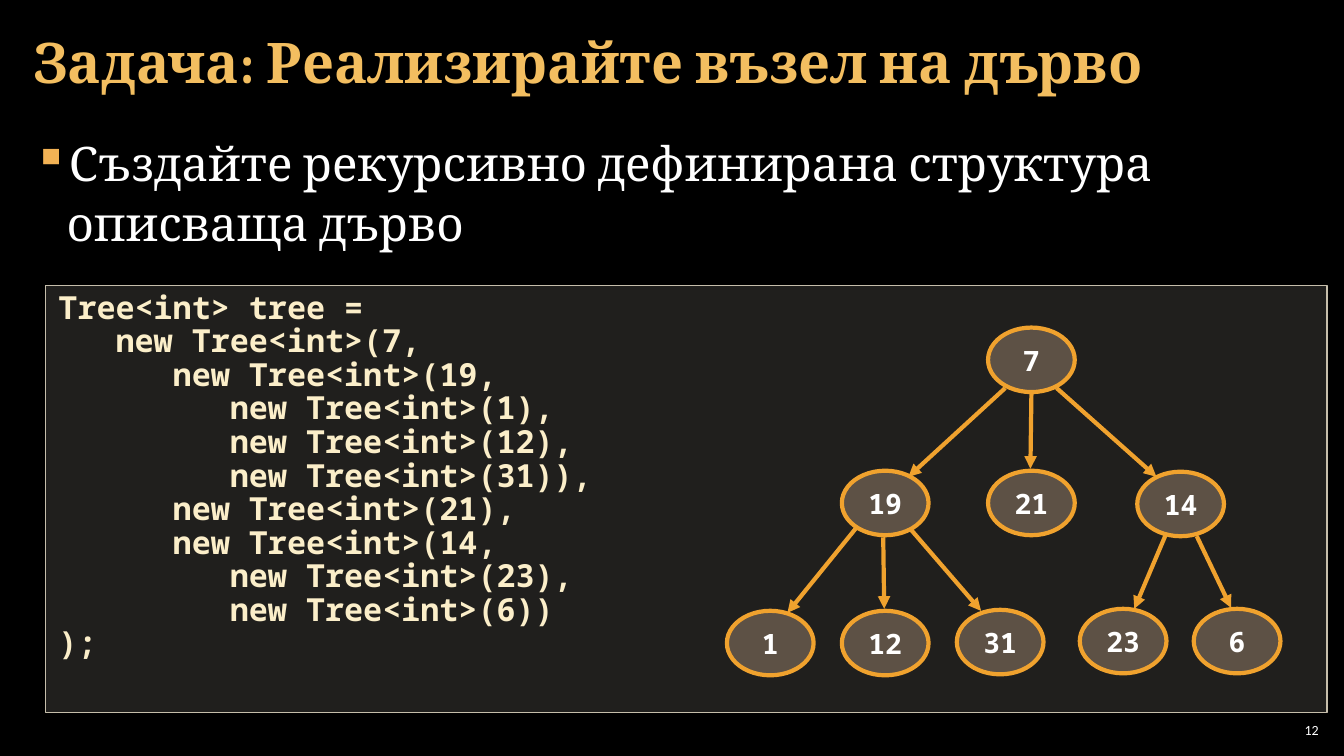
import pptx
import pptx.util
import pptx.dml.color
import pptx.enum.shapes
import pptx.enum.text
import pptx.oxml
import pptx.oxml.ns

Inches, Pt = pptx.util.Inches, pptx.util.Pt
ALIGN = pptx.enum.text.PP_ALIGN
ANCHOR = pptx.enum.text.MSO_ANCHOR
SHAPE = pptx.enum.shapes.MSO_SHAPE

COLORS = {
    "background": "000000", "text": "FFFFFF", "title": "F3BE60",
    "bullet": "F2B254", "code": "FBEEC9", "panel": "D9D4C6",
    "panel_line": "C6BEAB", "node": "EBC6A3", "accent": "F0A22E",
}
FORMATS = {
    "title": {"name": "Cambria", "size": Pt(40), "bold": True},
    "text": {"name": "Cambria", "size": Pt(34), "bold": False},
    "code": {"name": "Noto Sans Mono", "size": Pt(22.7), "bold": True},
    "node": {"name": "Noto Sans Mono", "size": Pt(20), "bold": True},
    "number": {"name": "Calibri", "size": Pt(10), "bold": False},
}
CODE = """Tree<int> tree =
   new Tree<int>(7,
      new Tree<int>(19,
         new Tree<int>(1),
         new Tree<int>(12),
         new Tree<int>(31)),
      new Tree<int>(21),
      new Tree<int>(14,
         new Tree<int>(23),
         new Tree<int>(6))
);"""
NODE_SIZE = (0.86, 0.64)
NODES = {
    "7": (2.59, 0), "19": (1.14, 1.42), "21": (2.59, 1.42), "14": (4.07, 1.43),
    "1": (0, 2.81), "12": (1.14, 2.81), "31": (2.28, 2.8),
    "23": (3.5, 2.79), "6": (4.63, 2.79),
}
EDGES = [
    ((2.76, 0.6), (1.8, 1.48)), ((3.02, 0.64), (3.01, 1.4)),
    ((3.27, 0.6), (4.26, 1.48)), ((1.28, 1.99), (0.6, 2.83)),
    ((1.55, 2.08), (1.56, 2.79)), ((1.83, 2.01), (2.52, 2.81)),
    ((4.35, 2.06), (4.04, 2.79)), ((4.66, 2.07), (5, 2.78)),
]


def rgb(key):
    """Return a named colour."""
    return pptx.dml.color.RGBColor.from_string(COLORS[key])


def add_xml(parent, tag, **attrs):
    """Append a drawing element with attributes."""
    el = pptx.oxml.parse_xml(f"<a:{tag} {pptx.oxml.ns.nsdecls('a')}/>")
    for name, value in attrs.items():
        el.set(name, value)
    parent.append(el)
    return el


def write(shape, text, fmt, color, insets, anchor=ANCHOR.TOP,
          align=ALIGN.LEFT, spacing=1.0):
    """Fill a shape with formatted lines of text."""
    tf = shape.text_frame
    frame = {"word_wrap": True, "auto_size": pptx.enum.text.MSO_AUTO_SIZE.NONE,
             "vertical_anchor": anchor,
             "margin_left": Inches(insets[0]), "margin_right": Inches(insets[0]),
             "margin_top": Inches(insets[1]), "margin_bottom": Inches(insets[1])}
    for name, value in frame.items():
        setattr(tf, name, value)
    for i, line in enumerate(text.split("\n")):
        p = tf.add_paragraph() if i else tf.paragraphs[0]
        p.alignment, p.line_spacing = align, spacing
        r = p.add_run()
        r.text = line
        for name, value in FORMATS[fmt].items():
            setattr(r.font, name, value)
        r.font.color.rgb = rgb(color)
    return tf


def paint(shape, fill, opacity, line, width):
    """Give a shape a translucent fill and an outline."""
    shape.shadow.inherit = False
    shape.fill.solid()
    shape.fill.fore_color.rgb = rgb(fill)
    color = shape.fill._xPr.find(".//" + pptx.oxml.ns.qn("a:srgbClr"))
    add_xml(color, "alpha", val=str(opacity * 1000))
    shape.line.color.rgb = rgb(line)
    shape.line.width = Pt(width)


def add_title(s, text, x, y, w, h):
    """Place and format the title placeholder."""
    sp = s.shapes.title
    sp.left, sp.top, sp.width, sp.height = map(Inches, (x, y, w, h))
    write(sp, text, "title", "title", (0.12, 0.04), ANCHOR.MIDDLE, spacing=0.9)


def add_task(s, text, x, y, w, h):
    """Place the bulleted task statement."""
    sp = s.shapes.add_textbox(*map(Inches, (x, y, w, h)))
    p = write(sp, text, "text", "text", (0.12, 0.04), spacing=1.05).paragraphs[0]
    pPr = p._p.get_or_add_pPr()
    pPr.set("marL", str(Inches(0.33)))
    pPr.set("indent", str(-Inches(0.33)))
    add_xml(add_xml(pPr, "buClr"), "srgbClr", val=COLORS["bullet"])
    add_xml(pPr, "buChar", char="▪")


def add_code(s, x, y, w, h):
    """Place the code panel."""
    sp = s.shapes.add_shape(SHAPE.RECTANGLE, *map(Inches, (x, y, w, h)))
    paint(sp, "panel", 15, "panel_line", 1)
    write(sp, CODE, "code", "code", (0.13, 0.07), spacing=0.88)


def add_tree(s, x, y):
    """Draw the tree with its top left corner at the given point."""
    group = s.shapes.add_group_shape()
    for label, (dx, dy) in NODES.items():
        sp = group.shapes.add_shape(
            SHAPE.OVAL, *map(Inches, (x + dx, y + dy, *NODE_SIZE)))
        paint(sp, "node", 30, "accent", 3)
        write(sp, label, "node", "text", (0.13, 0.07), ANCHOR.MIDDLE, ALIGN.CENTER)
    for (x1, y1), (x2, y2) in EDGES:
        cx = group.shapes.add_connector(
            pptx.enum.shapes.MSO_CONNECTOR.STRAIGHT,
            *map(Inches, (x + x1, y + y1, x + x2, y + y2)))
        cx.line.color.rgb = rgb("accent")
        cx.line.width = Pt(3)
        add_xml(cx.line._get_or_add_ln(), "tailEnd", type="triangle")
        add_xml(cx._element.spPr, "effectLst")


def add_number(s, text, x, y, w, h):
    """Place the slide number."""
    sp = s.shapes.add_textbox(*map(Inches, (x, y, w, h)))
    write(sp, text, "number", "text", (0.04, 0.04), ANCHOR.MIDDLE, ALIGN.RIGHT)


def main():
    """Build and save the slide."""
    prs = pptx.Presentation()
    prs.slide_width, prs.slide_height = Inches(13.33), Inches(7.5)
    s = prs.slides.add_slide(prs.slide_layouts[5])
    s.background.fill.solid()
    s.background.fill.fore_color.rgb = rgb("background")
    add_title(s, "Задача: Реализирайте възел на дърво", 0.21, 0.04, 12.91, 1.21)
    add_task(s, "Създайте рекурсивно дефинирана структура описваща дърво",
             0.21, 1.26, 12.91, 1.5)
    add_code(s, 0.45, 2.83, 12.71, 4.24)
    add_tree(s, 7.21, 3.25)
    add_number(s, "12", 12.65, 7.14, 0.47, 0.21)
    prs.save("out.pptx")


if __name__ == "__main__":
    main()
